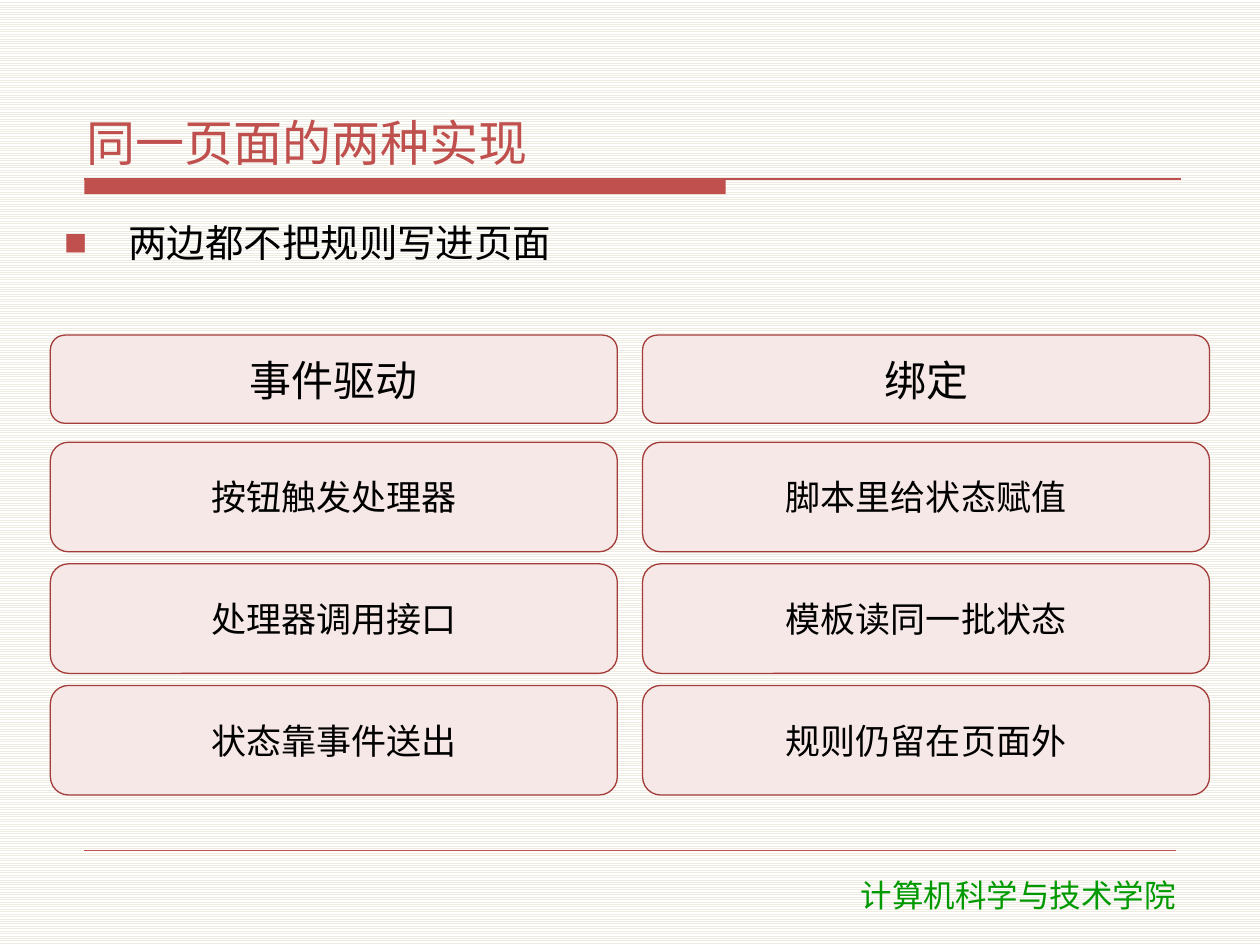
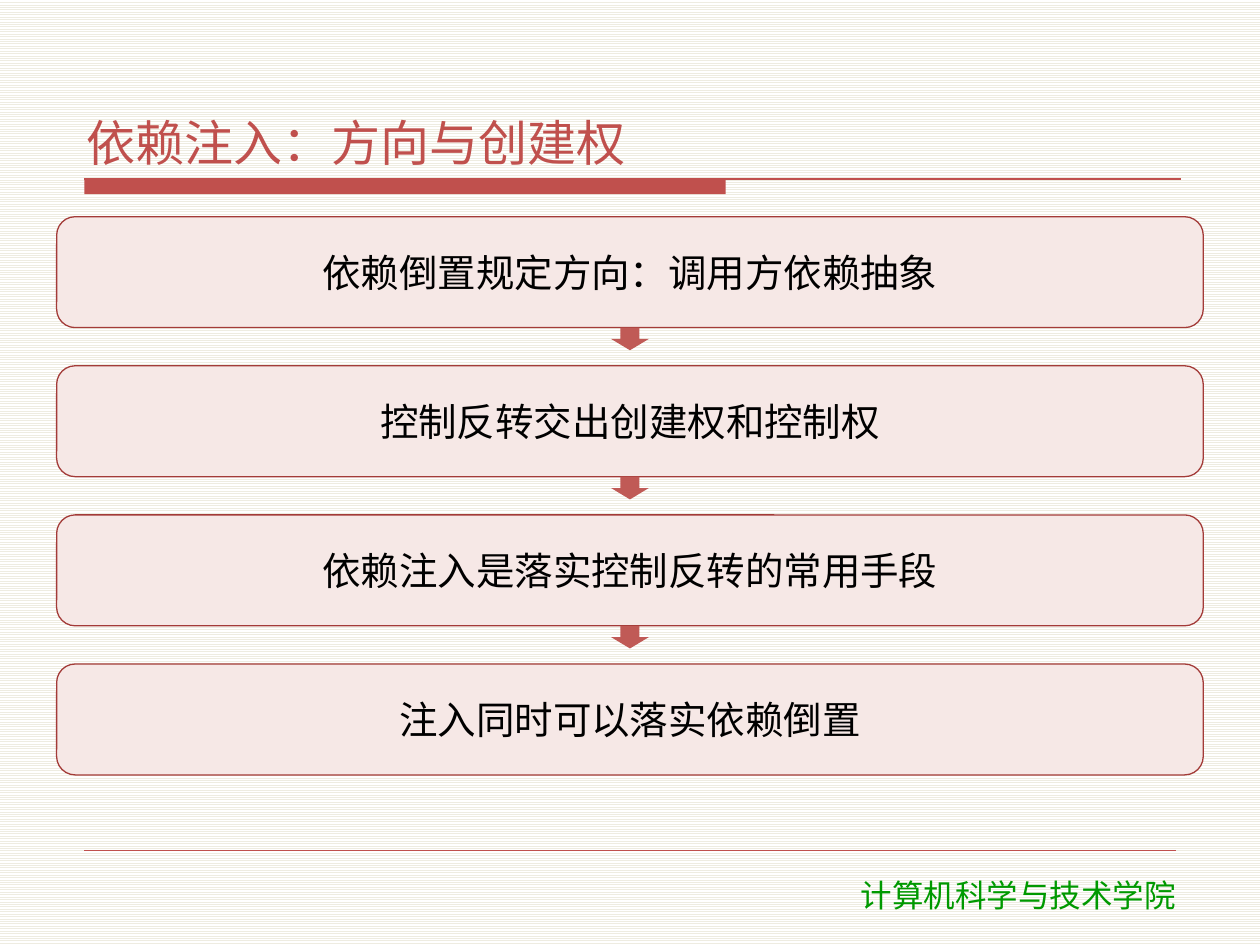
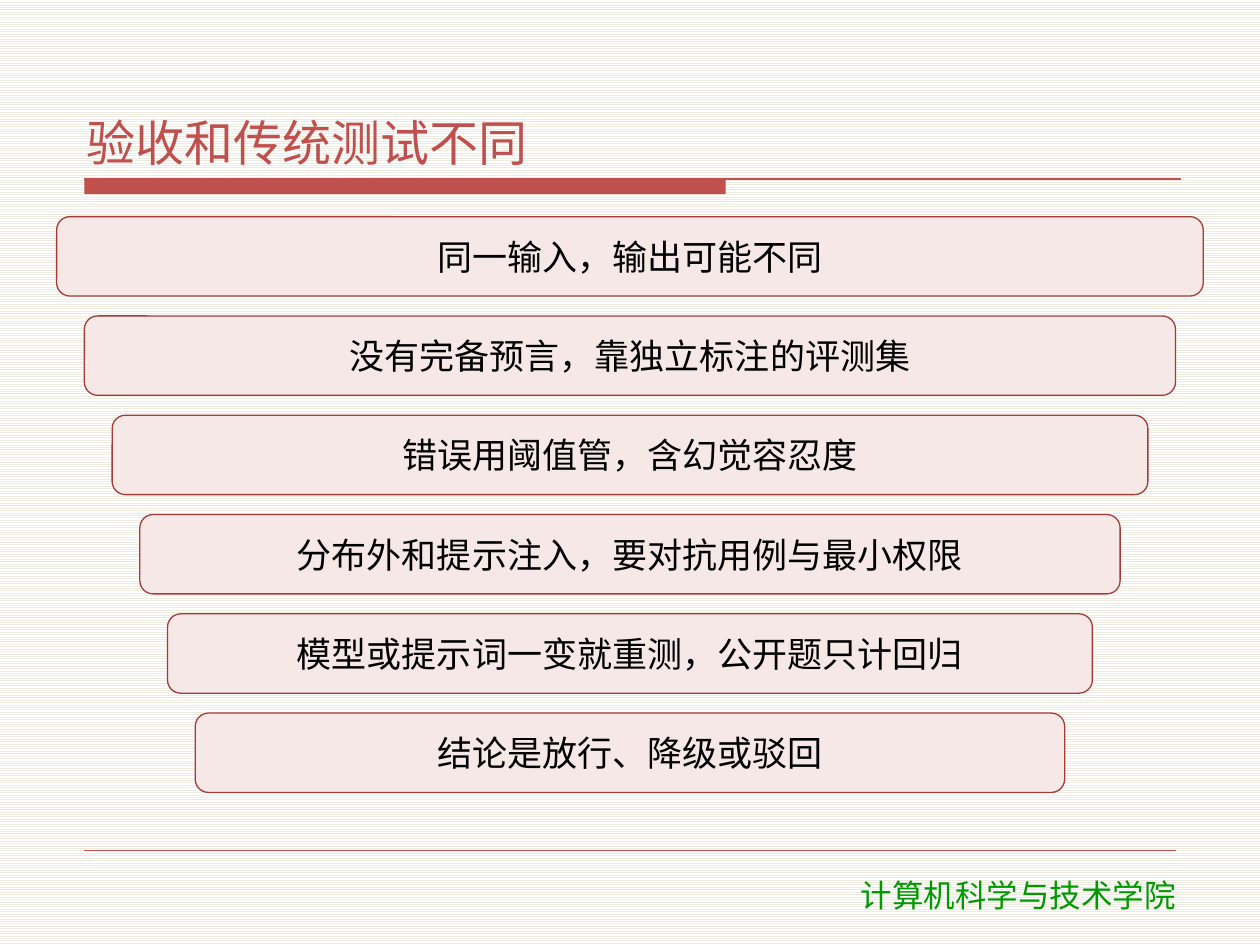
from lxml import etree
from pptx import Presentation
from pptx.dml.color import RGBColor
from pptx.enum import dml, shapes, text
from pptx.oxml import ns
from pptx.util import Inches, Pt

RED = RGBColor(0xC0, 0x50, 0x4D)
DARK_RED = RGBColor(0xA3, 0x3B, 0x38)
ARROW_RED = RGBColor(0xC0, 0x5A, 0x56)
PINK = RGBColor(0xF6, 0xE8, 0xE6)
BLACK = RGBColor(0, 0, 0)
GREEN = RGBColor(0, 0x99, 0)
CREAM = RGBColor(0xEE, 0xEC, 0xE1)
WHITE = RGBColor(0xFF, 0xFF, 0xFF)
CJK_FONT = "Noto Sans CJK SC"
FOOTER_FONT = "DejaVu Sans"
FOOTER = "计算机科学与技术学院"
TIGHT_FRAME = {
    "word_wrap": True,
    "margin_left": Inches(0.06),
    "margin_right": Inches(0.06),
    "margin_top": Inches(0.02),
    "margin_bottom": Inches(0.02),
}


def apply_format(target, values):
    for name, value in values.items():
        setattr(target, name, value)


def add_element(parent, tag, **attributes):
    return etree.SubElement(parent, ns.qn(tag), attributes)


def stack_tops(top, bottom, height, count):
    pitch = (bottom - top - height) / (count - 1)
    return [top + pitch * index for index in range(count)]


class Deck:
    def __init__(self):
        self.presentation = Presentation()
        self.presentation.slide_width = Inches(10)
        self.presentation.slide_height = Inches(7.5)
        self.slide = None

    def start_slide(self, title):
        self.slide = self.presentation.slides.add_slide(self.presentation.slide_layouts[6])
        fill = self.slide.background.fill
        fill.patterned()
        fill.pattern = dml.MSO_PATTERN.LIGHT_HORIZONTAL
        fill.fore_color.rgb = CREAM
        fill.back_color.rgb = WHITE
        self.shape(shapes.MSO_SHAPE.RECTANGLE, 0.67, 1.42, 5.09, 0.12, RED)
        self.rule(0.67, 9.37, 1.42, 0.75)
        self.rule(0.67, 9.33, 6.75, 0.25)
        self.text_box(FOOTER, 6.07, 6.9, 4.02, 0.4, 18, GREEN, FOOTER_FONT,
                      {"word_wrap": True, "auto_size": text.MSO_AUTO_SIZE.SHAPE_TO_FIT_TEXT},
                      {"alignment": text.PP_ALIGN.CENTER})
        self.text_box(title, 0.63, 0.33, 8.75, 1.05, 28, RED, CJK_FONT,
                      {**TIGHT_FRAME, "vertical_anchor": text.MSO_ANCHOR.BOTTOM},
                      {"space_after": Pt(2)})

    def rule(self, left, right, top, weight):
        line = self.slide.shapes.add_connector(
            shapes.MSO_CONNECTOR.STRAIGHT, Inches(left), Inches(top), Inches(right), Inches(top))
        line.line.color.rgb = RED
        line.line.width = Pt(weight)
        add_element(line._element.spPr, "a:effectLst")

    def shape(self, kind, left, top, width, height, fill, outline=None):
        shape = self.slide.shapes.add_shape(
            kind, Inches(left), Inches(top), Inches(width), Inches(height))
        shape.shadow.inherit = False
        shape.fill.solid()
        shape.fill.fore_color.rgb = fill
        if outline:
            shape.line.color.rgb = outline
            shape.line.width = Pt(0.75)
        else:
            shape.line.fill.background()
        return shape

    def fill_text(self, frame, words, size, color, font_name, frame_format, paragraph_format):
        apply_format(frame, frame_format)
        paragraph = frame.paragraphs[0]
        apply_format(paragraph, paragraph_format)
        run = paragraph.add_run()
        run.text = words
        apply_format(run.font, {"size": Pt(size), "name": font_name})
        run.font.color.rgb = color
        add_element(run.font._element, "a:ea", typeface=font_name)
        return paragraph

    def text_box(self, words, left, top, width, height, *style):
        box = self.slide.shapes.add_textbox(
            Inches(left), Inches(top), Inches(width), Inches(height))
        return self.fill_text(box.text_frame, words, *style)

    def bullet(self, words, left, top, width, height):
        paragraph = self.text_box(words, left, top, width, height, 22, BLACK, CJK_FONT,
                                  TIGHT_FRAME, {"space_after": Pt(2)})
        properties = paragraph._p.get_or_add_pPr()
        indents = {"marL": Inches(0.51), "indent": Inches(-0.51)}
        for name, value in indents.items():
            properties.set(name, str(int(value)))
        color = add_element(properties, "a:buClr")
        add_element(color, "a:srgbClr", val=str(RED))
        add_element(properties, "a:buSzPct", val="60000")
        add_element(properties, "a:buFont", typeface=CJK_FONT)
        add_element(properties, "a:buChar", char="■")

    def card(self, words, left, top, width, height, size):
        card = self.shape(shapes.MSO_SHAPE.ROUNDED_RECTANGLE, left, top, width, height,
                          PINK, DARK_RED)
        self.fill_text(card.text_frame, words, size, BLACK, CJK_FONT,
                       {**TIGHT_FRAME, "vertical_anchor": text.MSO_ANCHOR.MIDDLE},
                       {"alignment": text.PP_ALIGN.CENTER, "space_after": Pt(2)})

    def down_arrow(self, top):
        self.shape(shapes.MSO_SHAPE.DOWN_ARROW, 4.85, top, 0.3, 0.18, ARROW_RED)


def add_comparison(deck):
    deck.start_slide("同一页面的两种实现")
    deck.bullet("两边都不把规则写进页面", 0.45, 1.72, 9.1, 0.86)
    columns = {
        "事件驱动": ["按钮触发处理器", "处理器调用接口", "状态靠事件送出"],
        "绑定": ["脚本里给状态赋值", "模板读同一批状态", "规则仍留在页面外"],
    }
    for column, (heading, points) in enumerate(columns.items()):
        left = 0.4 + 4.7 * column
        deck.card(heading, left, 2.66, 4.5, 0.7, 24)
        for point, top in zip(points, stack_tops(3.51, 6.31, 0.87, len(points))):
            deck.card(point, left, top, 4.5, 0.87, 20)


def add_injection_chain(deck):
    deck.start_slide("依赖注入：方向与创建权")
    steps = [
        "依赖倒置规定方向：调用方依赖抽象",
        "控制反转交出创建权和控制权",
        "依赖注入是落实控制反转的常用手段",
        "注入同时可以落实依赖倒置",
    ]
    height = 0.88
    for index, top in enumerate(stack_tops(1.72, 6.15, height, len(steps))):
        deck.card(steps[index], 0.45, top, 9.1, height, 22)
        if index < len(steps) - 1:
            deck.down_arrow(top + height)


def add_acceptance_funnel(deck):
    deck.start_slide("验收和传统测试不同")
    layers = [
        "同一输入，输出可能不同",
        "没有完备预言，靠独立标注的评测集",
        "错误用阈值管，含幻觉容忍度",
        "分布外和提示注入，要对抗用例与最小权限",
        "模型或提示词一变就重测，公开题只计回归",
        "结论是放行、降级或驳回",
    ]
    for index, top in enumerate(stack_tops(1.72, 6.29, 0.63, len(layers))):
        left = 0.45 + 0.22 * index
        deck.card(layers[index], left, top, 10 - 2 * left, 0.63, 20)


def main():
    deck = Deck()
    add_comparison(deck)
    add_injection_chain(deck)
    add_acceptance_funnel(deck)
    deck.presentation.save("out.pptx")


if __name__ == "__main__":
    main()
